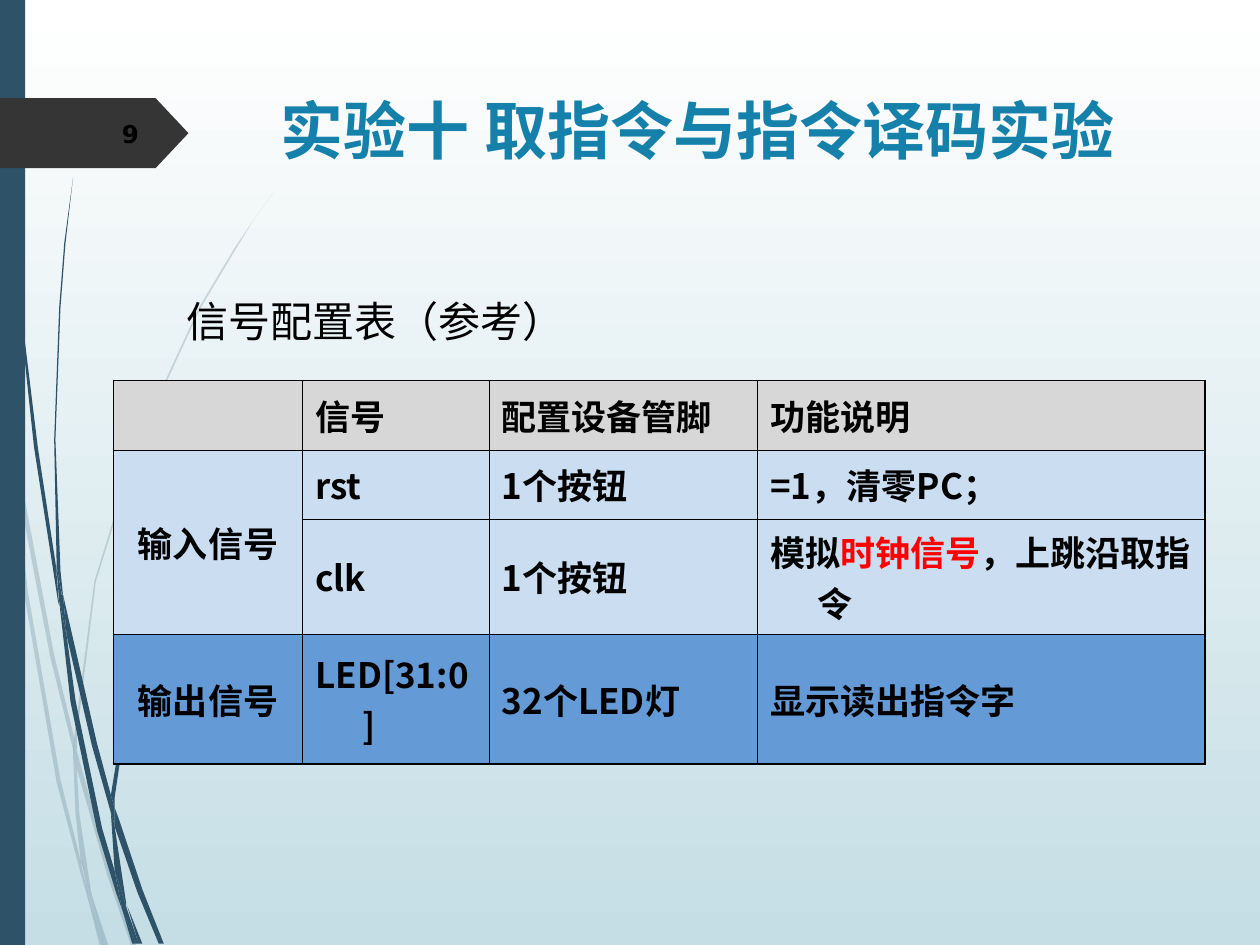
import lxml.etree
import pptx
import pptx.dml.color
import pptx.enum.shapes
import pptx.enum.text
import pptx.oxml
import pptx.oxml.ns
import pptx.util

Cm, Pt = pptx.util.Cm, pptx.util.Pt
SHAPE = pptx.enum.shapes.MSO_SHAPE
ALIGN = pptx.enum.text.PP_ALIGN
ANCHOR = pptx.enum.text.MSO_ANCHOR
qn = pptx.oxml.ns.qn

# Content
TITLE = "实验十 取指令与指令译码实验"
CAPTION = "信号配置表（参考）"
NUMBER = "9"
ROWS = [
    ["", "信号", "配置设备管脚", "功能说明"],
    ["输入信号", "rst", "1个按钮", "=1，清零PC；"],
    ["", "clk", "1个按钮", ["模拟", "时钟信号", "，上跳沿取指令"]],
    ["输出信号", "LED[31:0]", "32个LED灯", "显示读出指令字"],
]
COLORS = {
    "top": "FFFFFF", "base": "C5DEE5", "grass": "2E5369", "sign": "353535",
    "title": "1581AA", "text": "000000", "mark": "FF0000",
    "head": "D7D7D7", "input": "CBDDF1", "output": "649AD6",
}
FILLS = ["head", "input", "input", "output"]
WIDTHS = [3.81, 3.76, 5.41, 9.02]
HEIGHTS = [1.4, 1.4, 2.31, 2.62]
CJK = "Noto Sans CJK SC"

# Grass blades, corner points in units of 0.0254 cm
UNIT = Cm(0.0254)
PALE = [
    [(8, 350), (6, 322), (0, 282), (0, 299), (7, 344)],
    [(40, 522), (59, 599), (59, 586), (43, 520), (10, 345), (12, 376)],
    [(64, 607), (61, 596), (61, 610), (85, 694), (104, 750), (108, 750), (88, 692)],
    [(83, 750), (86, 750), (73, 711)],
    [(64, 683), (48, 619), (22, 469), (12, 376), (8, 350), (19, 470), (45, 621),
     (64, 693), (70, 714), (69, 707)],
    [(58, 599), (60, 646), (64, 683), (67, 692), (73, 711), (72, 706), (63, 646),
     (61, 610), (61, 608)],
    [(61, 584), (76, 462), (111, 349), (159, 245), (187, 198), (201, 175), (217, 153),
     (201, 175), (186, 197), (158, 244), (110, 348), (75, 461), (59, 584), (59, 586),
     (61, 596)],
    [(70, 714), (79, 750), (82, 750)],
    [(61, 608), (61, 610), (61, 596), (59, 586), (58, 599)],
    [(67, 692), (65, 683), (69, 707), (70, 714), (82, 750), (83, 750), (73, 711)],
]
DARK = [
    [(5, 110), (14, 233), (27, 355), (46, 477), (47, 481), (45, 457), (45, 453),
     (30, 355), (15, 232), (6, 109), (4, 48), (3, 0), (2, 0), (3, 48)],
    [(73, 592), (88, 645), (88, 633), (88, 631), (77, 590), (50, 472), (53, 505)],
    [(94, 649), (91, 641), (91, 656), (109, 708), (126, 749), (130, 749), (113, 706)],
    [(91, 691), (81, 657), (60, 556), (53, 505), (47, 477), (56, 557), (77, 659),
     (92, 708), (97, 722), (96, 717)],
    [(50, 472), (48, 453), (44, 349), (48, 244), (52, 193), (58, 141), (51, 193),
     (47, 244), (43, 349), (45, 449), (49, 471)],
    [(110, 749), (113, 749), (101, 719)],
    [(47, 477), (53, 505), (50, 472), (49, 472), (45, 449), (45, 453)],
    [(91, 633), (103, 552), (131, 476), (169, 406), (191, 374), (203, 359), (216, 344),
     (215, 344), (203, 358), (191, 373), (168, 405), (129, 474), (101, 551), (88, 631),
     (91, 641)],
    [(97, 722), (105, 749), (108, 749)],
    [(88, 645), (91, 691), (96, 706), (100, 719), (100, 716), (91, 656), (90, 651)],
    [(88, 645), (90, 651), (91, 656), (91, 641), (88, 631), (88, 633)],
    [(96, 706), (91, 691), (96, 717), (97, 722), (108, 749), (110, 749), (100, 719)],
]


def tint(name):
    return pptx.dml.color.RGBColor.from_string(COLORS[name])


def paint(shape, name, alpha=None):
    shape.shadow.inherit = False
    shape.line.fill.background()
    shape.fill.solid()
    shape.fill.fore_color.rgb = tint(name)
    if alpha:
        hue = shape.fill._xPr.find(".//" + qn("a:srgbClr"))
        lxml.etree.SubElement(hue, qn("a:alpha"), val=str(alpha * 1000))


def style(para, size, face, bold=True, color="text"):
    font = para.font
    font.size, font.name, font.bold = Pt(size), face, bold
    font.color.rgb = tint(color)
    east = lxml.etree.Element(qn("a:ea"), typeface=CJK)
    font._element.find(qn("a:latin")).addnext(east)


def write(box, text, anchor, align, *look):
    area = slide.shapes.add_textbox(*map(Cm, box))
    frame = area.text_frame
    frame.word_wrap = True
    frame.vertical_anchor = anchor
    para = frame.paragraphs[0]
    para.text, para.alignment = text, align
    style(para, *look)


def edge(cell, sides):
    props = cell._tc.get_or_add_tcPr()
    for spot, (side, width) in enumerate(sides.items()):
        props.insert(spot, pptx.oxml.parse_xml(
            f'<a:ln{side} xmlns:a="http://schemas.openxmlformats.org/drawingml/2006/main"'
            f' w="{Pt(width)}"><a:solidFill><a:srgbClr val="{COLORS["text"]}"/>'
            f'</a:solidFill></a:ln{side}>'))


deck = pptx.Presentation()
deck.slide_width, deck.slide_height = Cm(25.4), Cm(19.05)
slide = deck.slides.add_slide(deck.slide_layouts[6])

# Background
back = slide.background.fill
back.gradient()
back.gradient_angle = 270
for stop, name in zip(back.gradient_stops, ["top", "base"]):
    stop.color.rgb = tint(name)

# Grass
for blades, alpha in [(PALE, 20), (DARK, None)]:
    for first, *rest in blades:
        pen = slide.shapes.build_freeform(*first, scale=UNIT)
        pen.add_line_segments(rest, close=True)
        paint(pen.convert_to_shape(), "grass", alpha)

# Side bar and number sign
bar = slide.shapes.add_shape(SHAPE.RECTANGLE, 0, 0, Cm(0.51), Cm(19.05))
paint(bar, "grass")
sign = slide.shapes.add_shape(SHAPE.PENTAGON, 0, Cm(1.98), Cm(3.8), Cm(1.41))
sign.adjustments[0] = 0.47
paint(sign, "sign")

# Title and page number
write((5.41, 1.73, 18.31, 3.56), TITLE, ANCHOR.TOP, ALIGN.LEFT,
      36, "Quicksand", True, "title")
write((1.42, 2.18, 1.63, 1.02), NUMBER, ANCHOR.MIDDLE, ALIGN.RIGHT, 14, "DejaVu Sans")

# Signal table
grid = slide.shapes.add_table(len(ROWS), len(WIDTHS), Cm(2.29), Cm(7.67),
                              Cm(sum(WIDTHS)), Cm(sum(HEIGHTS))).table
for col, width in zip(grid.columns, WIDTHS):
    col.width = Cm(width)
for row, height in zip(grid.rows, HEIGHTS):
    row.height = Cm(height)
grid.cell(1, 0).merge(grid.cell(2, 0))

for r, row in enumerate(ROWS):
    for c, text in enumerate(row):
        cell = grid.cell(r, c)
        cell.fill.solid()
        cell.fill.fore_color.rgb = tint(FILLS[r])
        cell.vertical_anchor = ANCHOR.MIDDLE
        outer = {"L": c == 0, "R": c == len(row) - 1,
                 "T": r == 0, "B": r == len(ROWS) - 1}
        edge(cell, {side: 0.96 if out else 0.45 for side, out in outer.items()})
        para = cell.text_frame.paragraphs[0]
        para.alignment = ALIGN.LEFT if c else ALIGN.CENTER
        props = para._p.get_or_add_pPr()
        props.set("marL", str(Cm(0.95)))
        props.set("indent", str(-Cm(0.95)))
        style(para, 20, CJK)
        if isinstance(text, str):
            para.text = text
            continue
        for part, name in zip(text, ["text", "mark", "text"]):
            run = para.add_run()
            run.text = part
            run.font.color.rgb = tint(name)

# Caption
write((3.51, 5.84, 12.09, 1.27), CAPTION, ANCHOR.MIDDLE, ALIGN.LEFT, 24, CJK, False)

deck.save("out.pptx")
